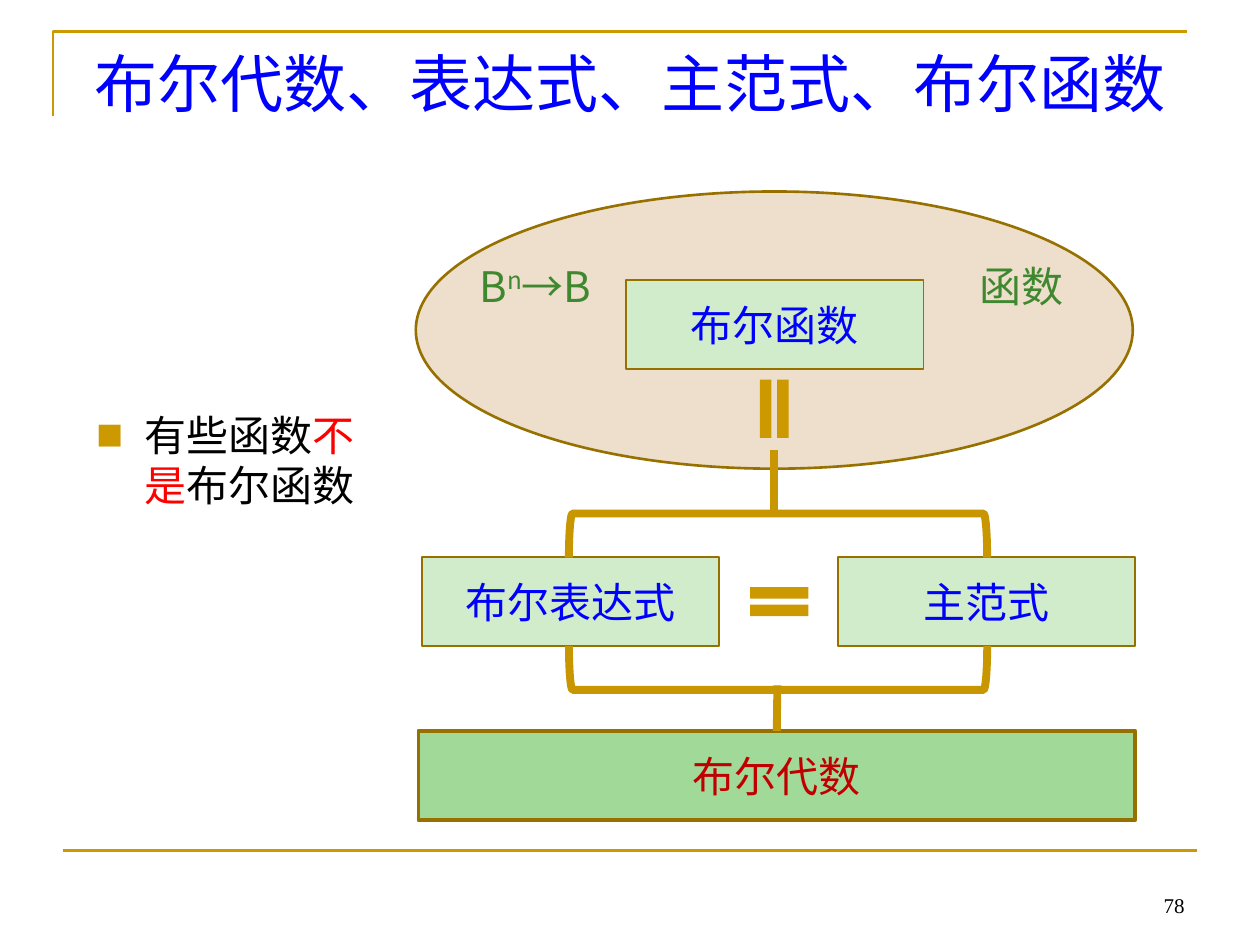
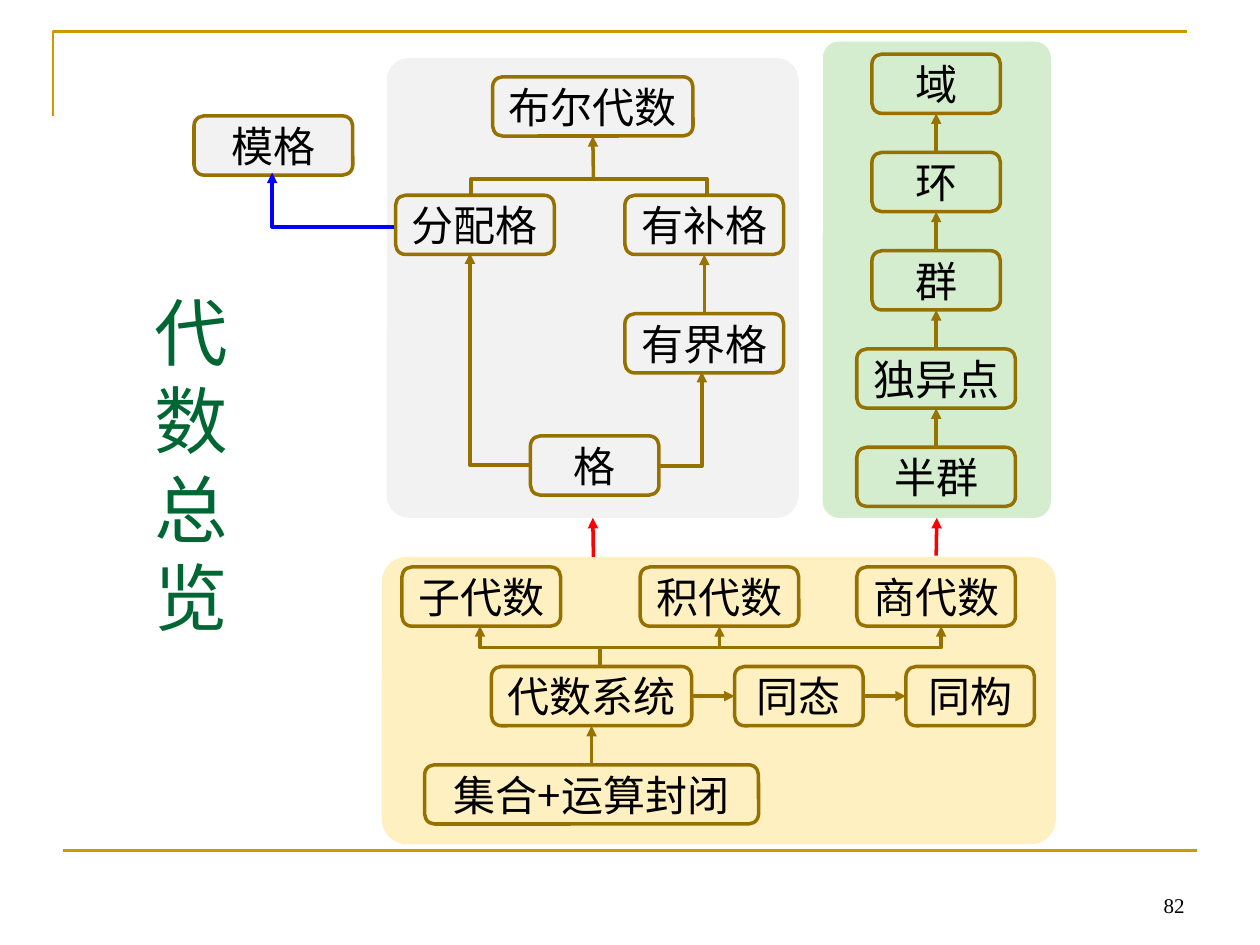
from dataclasses import dataclass

from lxml.etree import SubElement
from pptx import Presentation
from pptx.dml.color import RGBColor
from pptx.enum.shapes import MSO_CONNECTOR, MSO_SHAPE
from pptx.enum.text import MSO_ANCHOR, PP_ALIGN
from pptx.oxml.ns import qn
from pptx.util import Inches, Pt

COLORS = {
    "gold": "CC9900", "bracket": "C89600", "outline": "977100", "arrow": "997300",
    "blue": "0000FF", "red": "FF0000", "dark_red": "C00000", "black": "000000",
    "green_text": "3F8830", "title_green": "006633", "sand": "EEDFCC",
    "leaf": "A1DA98", "mint": "D0ECCB", "gray_panel": "F2F2F2",
    "green_panel": "D3EDCE", "yellow_panel": "FFF0C2",
}
FONT = "Noto Sans CJK SC"
TOP, LEFT, BOTTOM, RIGHT = range(4)
BOX_HEIGHT = 0.47


@dataclass
class Box:
    text: str
    left: float
    top: float
    width: float
    fill: str | None = None


@dataclass
class Panel:
    name: str
    place: tuple[float, float, float, float]
    corner: float


@dataclass
class Route:
    points: list[tuple[float, float]]
    color: str = "outline"
    head: bool = False
    tail: bool = True


def rgb(name: str) -> RGBColor:
    return RGBColor.from_string(COLORS[name])


def set_text(shape, text, *, size=24, color="black", font=FONT, align=PP_ALIGN.CENTER,
             anchor=MSO_ANCHOR.MIDDLE, bullet=False, margin=0.0):
    """Write one paragraph; text is a string or a list of (text, color, baseline)."""
    frame = shape.text_frame
    frame.word_wrap = True
    frame.vertical_anchor = anchor
    frame.margin_left = frame.margin_right = Inches(margin)
    frame.margin_top = frame.margin_bottom = Inches(margin / 2)
    paragraph = frame.paragraphs[0]
    paragraph.alignment = align
    if bullet:
        properties = paragraph._p.get_or_add_pPr()
        properties.set("marL", str(Inches(0.38)))
        properties.set("indent", str(-Inches(0.38)))
        bullet_color = SubElement(properties, qn("a:buClr"))
        SubElement(bullet_color, qn("a:srgbClr"), val=COLORS["gold"])
        SubElement(properties, qn("a:buSzPct"), val="65000")
        SubElement(properties, qn("a:buFont"), typeface=FONT)
        SubElement(properties, qn("a:buChar"), char="■")
    pieces = [(text, color, 0)] if isinstance(text, str) else text
    for piece, piece_color, baseline in pieces:
        run = paragraph.add_run()
        run.text = piece
        run.font.size = Pt(size)
        run.font.name = font
        run.font.color.rgb = rgb(piece_color)
        SubElement(run.font._element, qn("a:ea"), typeface=font)
        if baseline:
            run.font._element.set("baseline", str(baseline * 1000))


def add_text(slide, place, text, **text_format):
    shape = slide.shapes.add_textbox(*map(Inches, place))
    set_text(shape, text, **text_format)
    return shape


def style(shape, fill: str | None, line: str | None, width: float) -> None:
    shape.shadow.inherit = False
    if fill:
        shape.fill.solid()
        shape.fill.fore_color.rgb = rgb(fill)
    else:
        shape.fill.background()
    if line:
        shape.line.color.rgb = rgb(line)
        shape.line.width = Pt(width)
    else:
        shape.line.fill.background()


def add_figure(slide, kind, place, *, fill=None, line=None, width=2.0, rotation=0):
    shape = slide.shapes.add_shape(kind, *map(Inches, place))
    style(shape, fill, line, width)
    shape.rotation = rotation
    return shape


def add_arrowheads(shape, head: bool, tail: bool) -> None:
    line = shape.line._get_or_add_ln()
    for present, tag in ((head, "a:headEnd"), (tail, "a:tailEnd")):
        if present:
            SubElement(line, qn(tag), type="triangle")


def add_line(slide, start, end, *, color="arrow", width=2.0, tail=False,
             begin_at=None, end_at=None):
    """Draw a straight line; begin_at and end_at are (shape, side) joints."""
    line = slide.shapes.add_connector(MSO_CONNECTOR.STRAIGHT, *map(Inches, (*start, *end)))
    line.line.color.rgb = rgb(color)
    line.line.width = Pt(width)
    add_arrowheads(line, False, tail)
    SubElement(line._element.spPr, qn("a:effectLst"))
    if begin_at:
        line.begin_connect(*begin_at)
    if end_at:
        line.end_connect(*end_at)


def add_route(slide, route: Route, width: float = 2.0) -> None:
    first, *rest = [tuple(map(Inches, point)) for point in route.points]
    builder = slide.shapes.build_freeform(*first)
    builder.add_line_segments(rest, close=False)
    shape = builder.convert_to_shape()
    style(shape, None, route.color, width)
    add_arrowheads(shape, route.head, route.tail)


def add_base_slide(presentation, number: str):
    """Blank slide with the corner frame, the footer rule and the page number."""
    slide = presentation.slides.add_slide(presentation.slide_layouts[6])
    corner = Route([(0.42, 0.92), (0.42, 0.25), (9.42, 0.25)], "gold", tail=False)
    add_route(slide, corner, width=1.5)
    add_line(slide, (0.5, 6.75), (9.5, 6.75), color="gold", width=1.5)
    add_text(slide, (8.7, 6.83, 0.8, 0.5), number, size=12, font="Times New Roman",
             align=PP_ALIGN.RIGHT, anchor=MSO_ANCHOR.BOTTOM, margin=0.1)
    return slide


def build_boolean_slide(presentation) -> None:
    slide = add_base_slide(presentation, "78")
    # Set of all functions
    add_figure(slide, MSO_SHAPE.OVAL, (3.3, 1.52, 5.69, 2.2),
               fill="sand", line="outline", width=1.5)
    add_text(slide, (7.44, 1.95, 1.34, 0.63), "函数", color="green_text")
    add_text(slide, (3.58, 1.95, 1.34, 0.63),
             [("B", "green_text", 0), ("n", "green_text", 30), ("→B", "green_text", 0)])
    # Title and remark
    add_text(slide, (0.5, 0.3, 9, 0.69), "布尔代数、表达式、主范式、布尔函数",
             size=36, color="blue", anchor=MSO_ANCHOR.TOP, margin=0.1)
    add_text(slide, (0.67, 3.2, 2.44, 0.94),
             [("有些函数", "black", 0), ("不是", "red", 0), ("布尔函数", "black", 0)],
             align=PP_ALIGN.LEFT, anchor=MSO_ANCHOR.TOP, bullet=True, margin=0.1)
    # Concept boxes
    algebra = add_figure(slide, MSO_SHAPE.RECTANGLE, (3.32, 5.8, 5.69, 0.71),
                         fill="leaf", line="outline")
    set_text(algebra, "布尔代数", color="dark_red")
    for text, left, top in (("布尔函数", 4.97, 2.22), ("布尔表达式", 3.35, 4.42),
                            ("主范式", 6.65, 4.42)):
        box = add_figure(slide, MSO_SHAPE.RECTANGLE, (left, top, 2.36, 0.71),
                         fill="mint", line="outline", width=1)
        set_text(box, text, color="blue")
    # Equal signs and brackets
    for left, top, rotation in ((5.87, 4.58, 0), (5.83, 3.05, 90)):
        add_figure(slide, MSO_SHAPE.MATH_EQUAL, (left, top, 0.63, 0.39),
                   fill="gold", rotation=rotation)
    for top, rotation in ((2.59, 270), (3.64, 90)):
        add_figure(slide, MSO_SHAPE.RIGHT_BRACKET, (6, top, 0.35, 3.32),
                   line="bracket", width=4.5, rotation=rotation)
    add_line(slide, (6.14, 4.08), (6.14, 3.57), color="bracket", width=4.5)
    add_line(slide, (6.17, 5.8), (6.17, 5.44), color="bracket", width=4.5,
             begin_at=(algebra, TOP))


PANELS = [
    Panel("yellow_panel", (3.03, 4.42, 5.35, 2.28), 0.087),
    Panel("green_panel", (6.53, 0.33, 1.81, 3.78), 0.072),
    Panel("gray_panel", (3.07, 0.46, 3.27, 3.65), 0.055),
]
TOWER = ["域", "环", "群", "独异点", "半群"]
TOWER_CENTER, TOWER_TOP, TOWER_STEP = 7.43, 0.43, 0.78
NARROW, MEDIUM, WIDE = 1.02, 1.26, 1.59
BOXES = [
    Box("集合+运算封闭", 3.37, 6.07, 2.65),
    Box("代数系统", 3.9, 5.29, WIDE),
    Box("同态", 5.83, 5.29, NARROW),
    Box("同构", 7.19, 5.29, NARROW),
    Box("子代数", 3.19, 4.5, MEDIUM),
    Box("积代数", 5.08, 4.5, MEDIUM),
    Box("商代数", 6.8, 4.5, MEDIUM),
    Box("格", 4.21, 3.46, NARROW),
    Box("有界格", 4.96, 2.49, MEDIUM),
    Box("有补格", 4.96, 1.55, MEDIUM),
    Box("分配格", 3.14, 1.55, MEDIUM),
    Box("布尔代数", 3.91, 0.61, WIDE),
    Box("模格", 1.54, 0.92, MEDIUM, "gray_panel"),
]
for step, label in enumerate(TOWER):
    box_width = NARROW if len(label) == 1 else MEDIUM
    BOXES.append(Box(label, TOWER_CENTER - box_width / 2,
                     TOWER_TOP + step * TOWER_STEP, box_width))
UPWARD = [("集合+运算封闭", "代数系统"), ("有界格", "有补格"), *zip(TOWER[1:], TOWER)]
RIGHTWARD = [("代数系统", "同态"), ("同态", "同构")]
ROUTES = [
    Route([(3.81, 4.97), (3.81, 5.14), (7.47, 5.14), (7.47, 4.97)], head=True),
    Route([(5.23, 3.7), (5.57, 3.7), (5.57, 2.95)]),
    Route([(4.21, 3.69), (3.73, 3.69), (3.73, 2.01)]),
    Route([(3.74, 1.55), (3.74, 1.42), (5.61, 1.42), (5.61, 1.55)], tail=False),
    Route([(3.13, 1.8), (2.16, 1.8), (2.16, 1.37)], "blue"),
]


def build_overview_slide(presentation) -> None:
    slide = add_base_slide(presentation, "82")
    # The narrow title box stacks one character per line
    add_text(slide, (1.13, 2.23, 1.19, 2.86), "代数总览", size=42, color="title_green",
             align=PP_ALIGN.LEFT, anchor=MSO_ANCHOR.TOP, margin=0.1)
    # Panels and labelled boxes
    shapes = {}
    for panel in PANELS:
        shape = add_figure(slide, MSO_SHAPE.ROUNDED_RECTANGLE, panel.place, fill=panel.name)
        shape.adjustments[0] = panel.corner
        shapes[panel.name] = shape
    for box in BOXES:
        shape = add_figure(slide, MSO_SHAPE.ROUNDED_RECTANGLE,
                           (box.left, box.top, box.width, BOX_HEIGHT),
                           fill=box.fill, line="outline")
        set_text(shape, box.text)
        shapes[box.text] = shape
    # Arrows between boxes
    for pairs, begin_side, end_side in ((UPWARD, TOP, BOTTOM), (RIGHTWARD, RIGHT, LEFT)):
        for source, target in pairs:
            add_line(slide, (0, 0), (0, 0), tail=True,
                     begin_at=(shapes[source], begin_side),
                     end_at=(shapes[target], end_side))
    for route in ROUTES:
        add_route(slide, route)
    # Stems that start from a route or from the yellow panel
    add_line(slide, (4.76, 5.14), (4.76, 5.29))
    for start, target, color in (((5.71, 5.13), "积代数", "arrow"),
                                 ((4.71, 1.41), "布尔代数", "arrow"),
                                 ((4.71, 4.42), "gray_panel", "red"),
                                 ((7.43, 4.41), "green_panel", "red")):
        add_line(slide, start, start, color=color, tail=True,
                 end_at=(shapes[target], BOTTOM))


def main() -> None:
    presentation = Presentation()
    presentation.slide_width, presentation.slide_height = Inches(10), Inches(7.5)
    build_boolean_slide(presentation)
    build_overview_slide(presentation)
    presentation.save("out.pptx")


if __name__ == "__main__":
    main()
